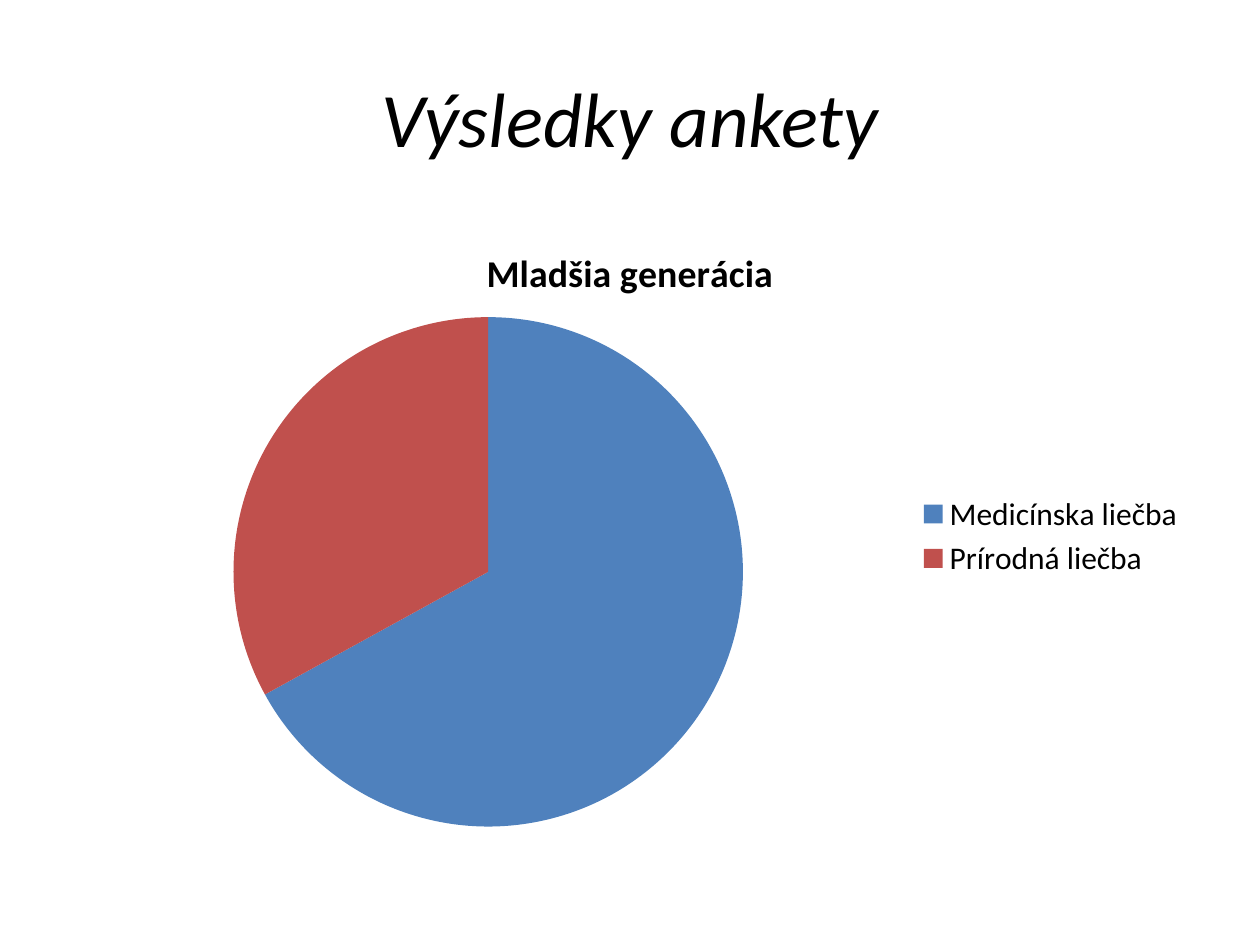
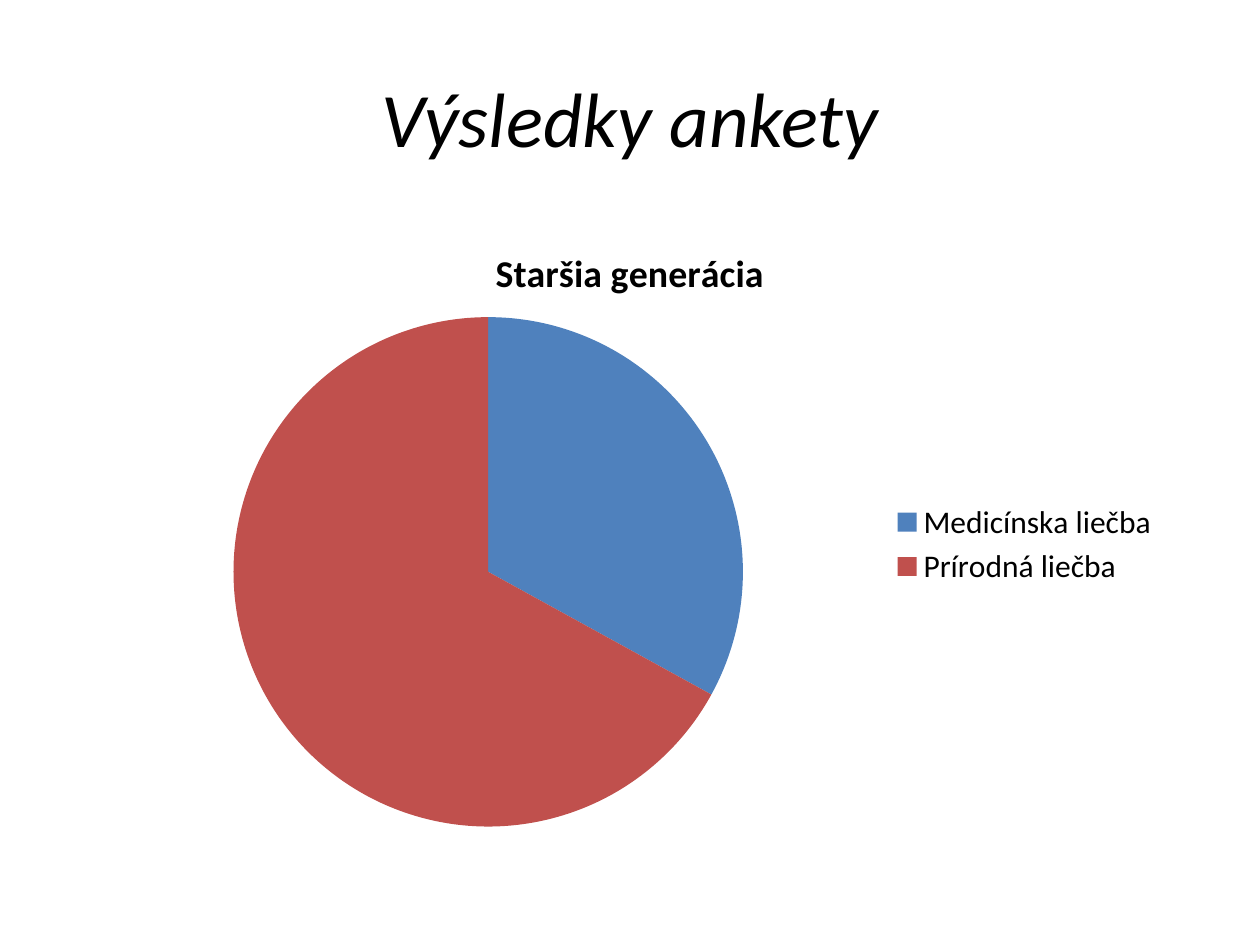
from dataclasses import dataclass

from lxml import etree
from pptx import Presentation
from pptx.chart.chart import Chart
from pptx.chart.data import CategoryChartData
from pptx.dml.color import RGBColor
from pptx.enum.chart import XL_CHART_TYPE, XL_LEGEND_POSITION
from pptx.enum.text import MSO_ANCHOR, PP_ALIGN
from pptx.oxml.ns import qn
from pptx.slide import Slide
from pptx.util import Inches, Pt

PIE = XL_CHART_TYPE.PIE
LEGEND_RIGHT = XL_LEGEND_POSITION.RIGHT
CENTER = PP_ALIGN.CENTER
MIDDLE = MSO_ANCHOR.MIDDLE

FONT = "Calibri"
COLORS = {"text": "000000", "medical": "4F81BD", "natural": "C0504D"}
TITLE = "Výsledky ankety"
TREATMENTS = {"Medicínska liečba": "medical", "Prírodná liečba": "natural"}
LEFT, WIDTH = Inches(0.5), Inches(9)
PIE_AREA = {"x": 0.15, "y": 0.155, "w": 0.45, "h": 0.817}


@dataclass(frozen=True)
class SurveyResult:
    generation: str
    series_name: str
    shares: tuple[int, int]
    legend_x: float
    legend_y: float


RESULTS = (
    SurveyResult("Mladšia generácia", "Series 1", (67, 33), 0.75, 0.43),
    SurveyResult("Staršia generácia", "Staršia generácia", (33, 67), 0.727, 0.443),
)


def color(name: str) -> RGBColor:
    return RGBColor.from_string(COLORS[name])


def style_font(font, size: float) -> None:
    font.name = FONT
    font.size = Pt(size)
    font.color.rgb = color("text")


def set_layout(parent, index: int, fractions: dict[str, float], inner: bool = False) -> None:
    """Place a chart part by fractions of the chart's width and height."""
    for old_layout in parent.findall(qn("c:layout")):
        parent.remove(old_layout)
    layout = etree.Element(qn("c:layout"))
    manual = etree.SubElement(layout, qn("c:manualLayout"))
    settings = {"layoutTarget": "inner"} if inner else {}
    settings |= {"xMode": "edge", "yMode": "edge"}
    settings |= {key: str(value) for key, value in fractions.items()}
    for tag, value in settings.items():
        etree.SubElement(manual, qn(f"c:{tag}")).set("val", value)
    parent.insert(index, layout)


def add_title(slide: Slide) -> None:
    box = slide.shapes.add_textbox(LEFT, Inches(0.3), WIDTH, Inches(1.25))
    text_frame = box.text_frame
    text_frame.word_wrap = True
    text_frame.vertical_anchor = MIDDLE
    text_frame.text = TITLE
    paragraph = text_frame.paragraphs[0]
    paragraph.alignment = CENTER
    font = paragraph.runs[0].font
    style_font(font, 44)
    font.italic = True


def add_legend(chart: Chart, result: SurveyResult) -> None:
    chart.has_legend = True
    chart.legend.position = LEGEND_RIGHT
    chart.legend.include_in_layout = False
    style_font(chart.legend.font, 18)
    legend = chart.element.find(".//" + qn("c:legend"))
    set_layout(legend, 1, {"x": result.legend_x, "y": result.legend_y})


def add_pie(slide: Slide, result: SurveyResult) -> None:
    chart_data = CategoryChartData()
    chart_data.categories = list(TREATMENTS)
    chart_data.add_series(result.series_name, result.shares)
    chart = slide.shapes.add_chart(
        PIE, LEFT, Inches(1.75), WIDTH, Inches(4.95), chart_data
    ).chart
    style_font(chart.font, 18)

    chart.has_title = True
    title_frame = chart.chart_title.text_frame
    title_frame.text = result.generation
    title_font = title_frame.paragraphs[0].runs[0].font
    style_font(title_font, 21.6)
    title_font.bold = True

    plot = chart.plots[0]
    plot.vary_by_categories = True
    for index, color_name in enumerate(TREATMENTS.values()):
        fill = plot.series[0].points[index].format.fill
        fill.solid()
        fill.fore_color.rgb = color(color_name)

    set_layout(chart.element.find(".//" + qn("c:plotArea")), 0, PIE_AREA, inner=True)
    add_legend(chart, result)


def main() -> None:
    presentation = Presentation()
    presentation.slide_width = Inches(10)
    presentation.slide_height = Inches(7.5)
    blank_layout = presentation.slide_layouts[6]
    for result in RESULTS:
        slide = presentation.slides.add_slide(blank_layout)
        add_title(slide)
        add_pie(slide, result)
    presentation.save("out.pptx")


if __name__ == "__main__":
    main()
